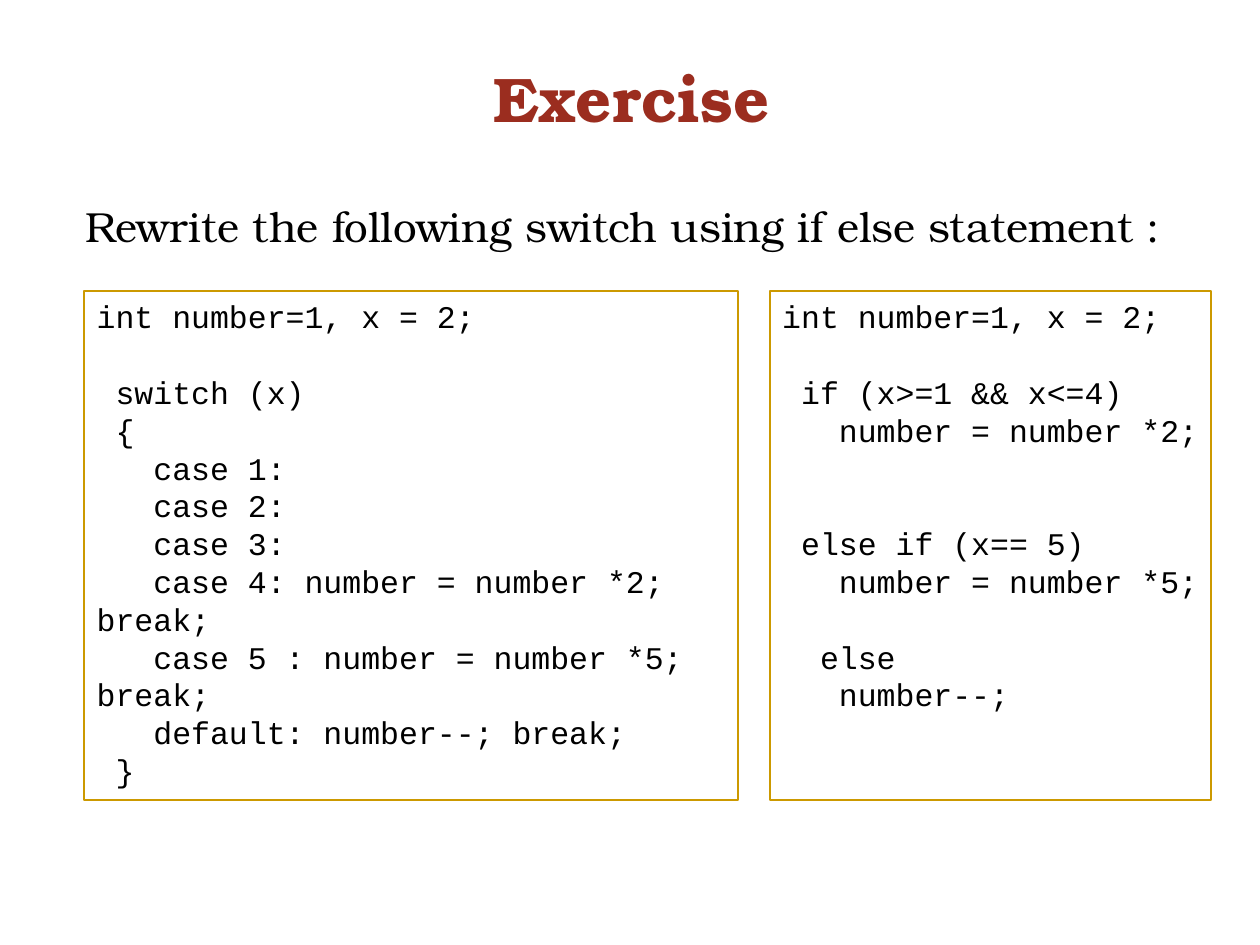
"""Build the exercise slide that sets a switch beside its if-else rewrite."""
import pptx
import pptx.dml.color
import pptx.enum.shapes
import pptx.enum.text
import pptx.util
from pptx.util import Cm

BLACK = pptx.dml.color.RGBColor(0x00, 0x00, 0x00)
WHITE = pptx.dml.color.RGBColor(0xFF, 0xFF, 0xFF)
GOLD = pptx.dml.color.RGBColor(0xCC, 0x99, 0x00)
BRICK = pptx.dml.color.RGBColor(0x9B, 0x2D, 0x1F)
SERIF = "TeX Gyre Bonum"
MONO = "Courier New"

SWITCH_CODE = [
    "int number=1, x = 2;\n \n switch (x)\n {\n   case 1:\n   case 2:\n   case 3:",
    "   case 4: number = number *2;  break;\n"
    "   case 5 : number = number *5; break;\n"
    "   default: number--; break;\n }",
]
IF_ELSE_CODE = [
    "int number=1, x = 2;\n \n if (x>=1 && x<=4)",
    "   number = number *2; \n",
    " else if (x== 5)",
    "   number = number *5;\n",
    "  else",
    "   number--;  \n",
]


def write(paragraph, text, font_name, size, color, align, bold=False):
    paragraph.text = text
    paragraph.alignment = align
    paragraph.font.name = font_name
    paragraph.font.size = pptx.util.Pt(size)
    paragraph.font.color.rgb = color
    paragraph.font.bold = bold


ALIGN = pptx.enum.text.PP_ALIGN
ANCHOR = pptx.enum.text.MSO_ANCHOR

presentation = pptx.Presentation()
presentation.slide_width = Cm(25.4)
presentation.slide_height = Cm(19.05)
slide = presentation.slides.add_slide(presentation.slide_layouts[5])

heading = slide.shapes.title
heading.left, heading.top = Cm(1.47), Cm(0.74)
heading.width, heading.height = Cm(22.53), Cm(2.11)
heading.text_frame.vertical_anchor = ANCHOR.BOTTOM
write(heading.text_frame.paragraphs[0], "Exercise", SERIF, 36, BRICK, ALIGN.CENTER, True)

task = slide.shapes.add_textbox(Cm(1.47), Cm(3.91), Cm(23.01), Cm(1.75))
task.text_frame.word_wrap = True
task_line = task.text_frame.paragraphs[0]
write(task_line, "Rewrite the following switch using if else statement :",
      SERIF, 24, BLACK, ALIGN.JUSTIFY)
task_line.space_before = pptx.util.Pt(4.8)

for left, width, code in [
    (Cm(1.7), Cm(13.18), SWITCH_CODE),
    (Cm(15.52), Cm(8.89), IF_ELSE_CODE),
]:
    listing = slide.shapes.add_shape(
        pptx.enum.shapes.MSO_SHAPE.RECTANGLE, left, Cm(5.87), width, Cm(10.26))
    listing.shadow.inherit = False
    listing.fill.solid()
    listing.fill.fore_color.rgb = WHITE
    listing.line.color.rgb = GOLD
    listing.line.width = pptx.util.Pt(1)
    frame = listing.text_frame
    frame.word_wrap = True
    frame.vertical_anchor = ANCHOR.TOP
    for index, block in enumerate(code):
        paragraph = frame.add_paragraph() if index else frame.paragraphs[0]
        write(paragraph, block, MONO, 18, BLACK, ALIGN.LEFT)

presentation.save("out.pptx")
